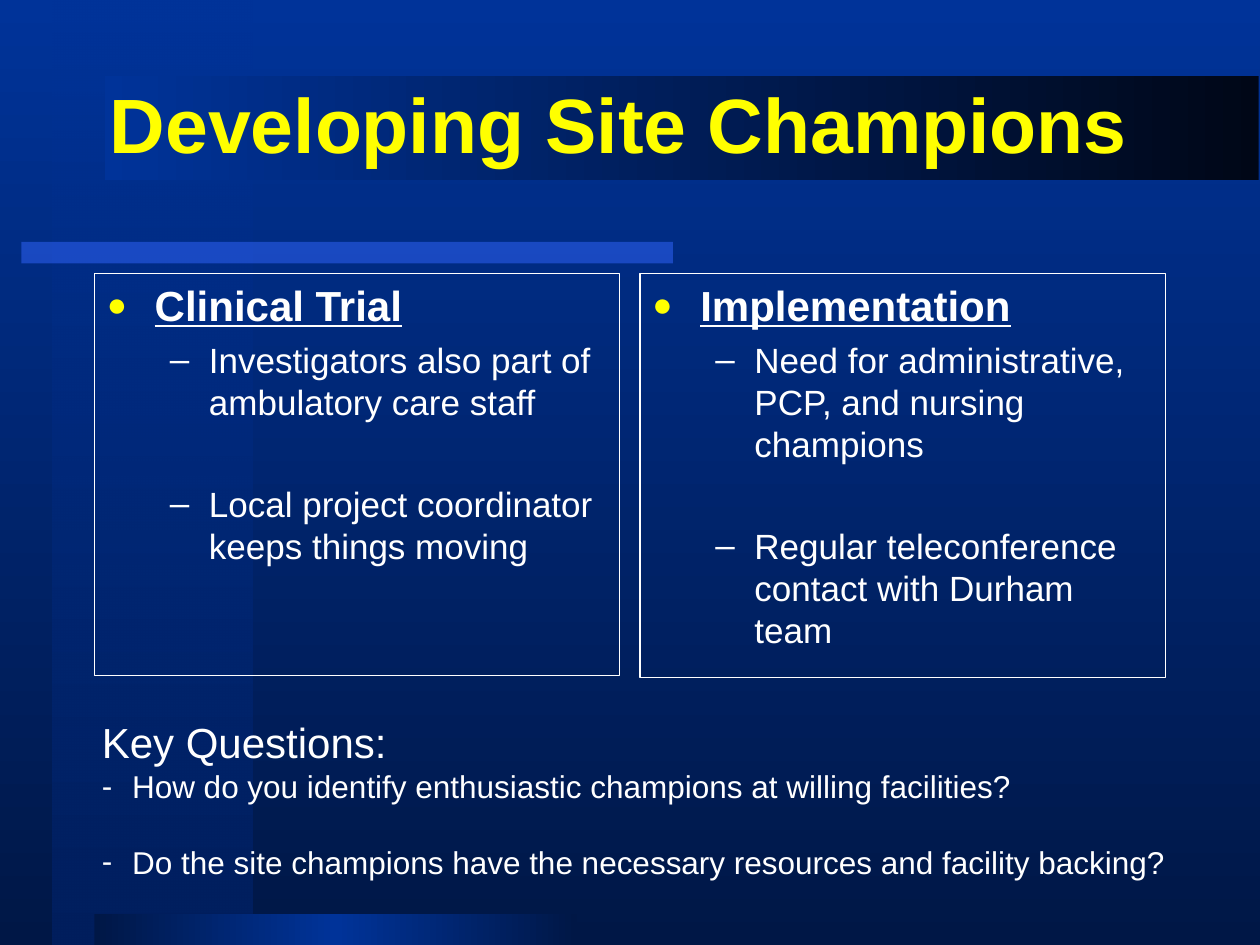
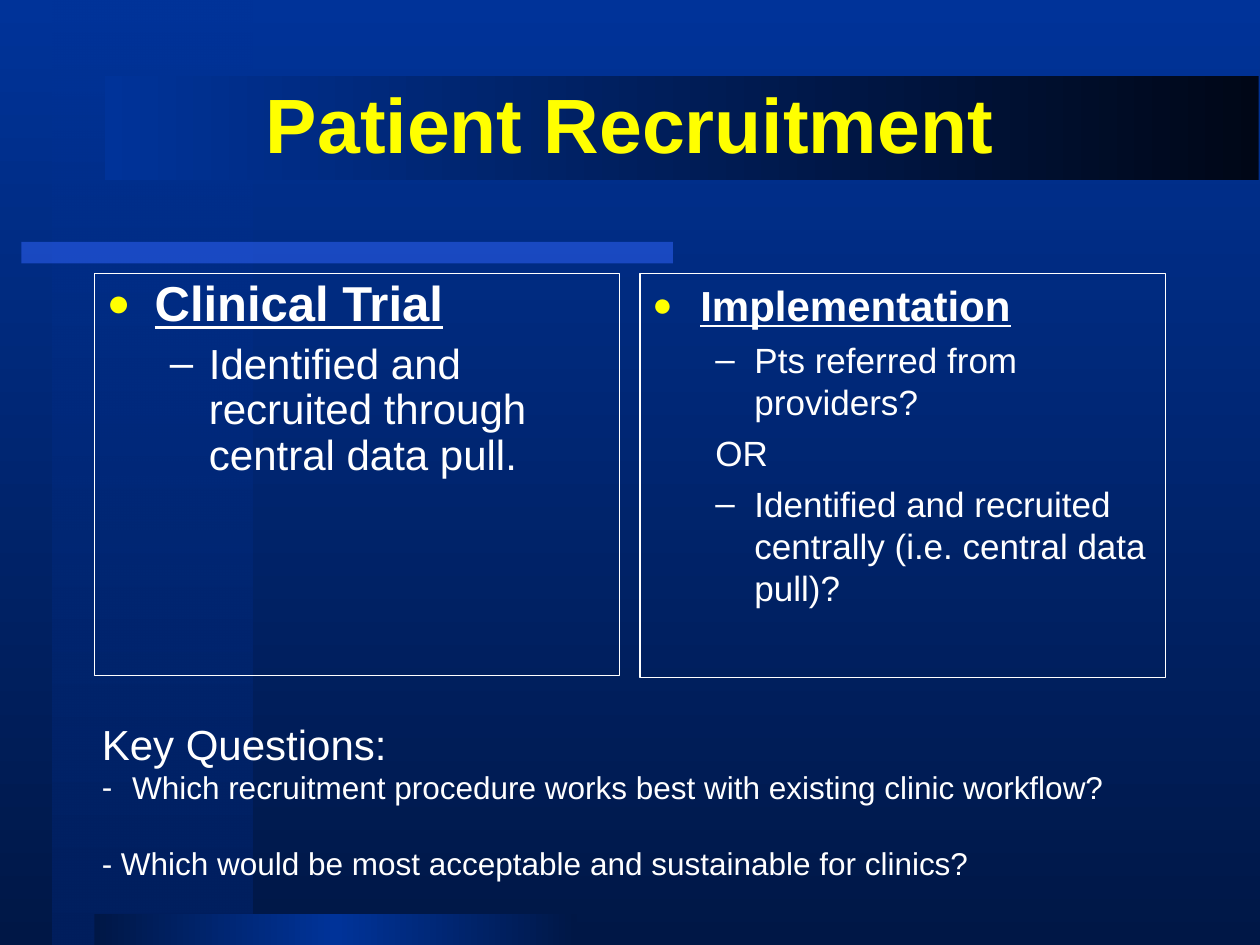
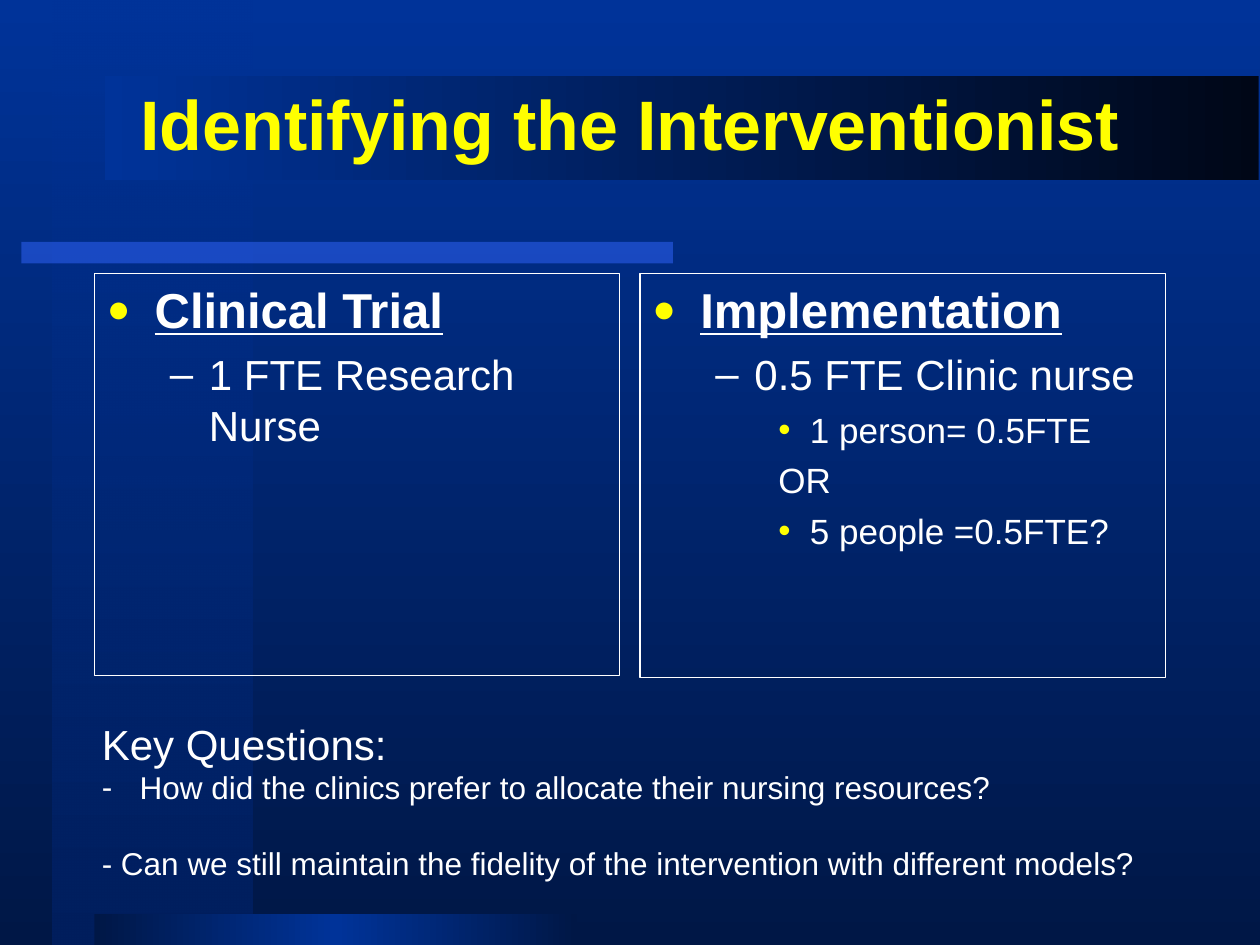
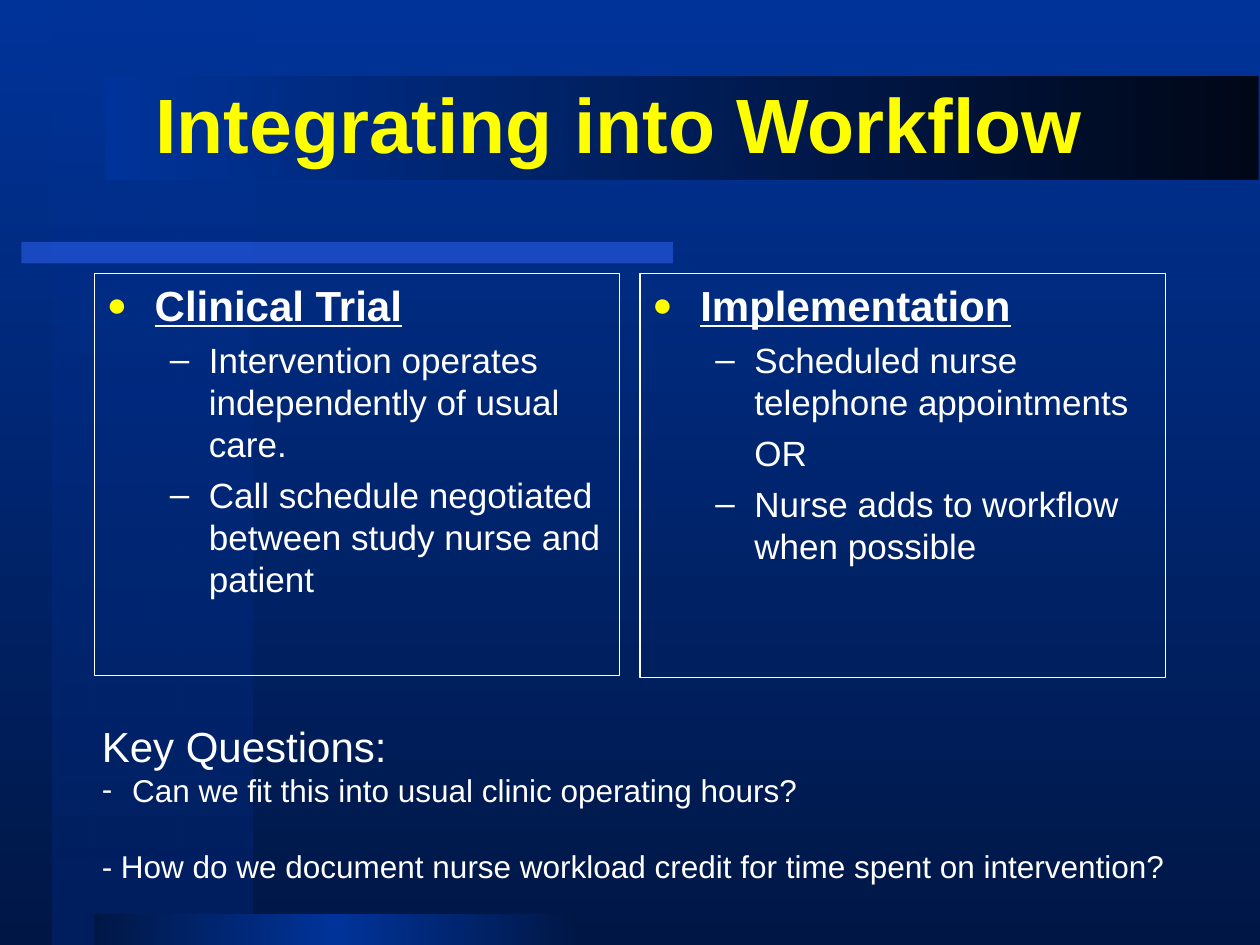
"""Build four slides that compare a clinical trial with its implementation."""
from lxml import etree
from pptx import Presentation
from pptx.dml.color import RGBColor
from pptx.enum.shapes import MSO_SHAPE
from pptx.enum.text import MSO_ANCHOR, MSO_AUTO_SIZE, PP_ALIGN
from pptx.oxml.ns import qn
from pptx.util import Inches, Pt

RECT = MSO_SHAPE.RECTANGLE
MIDDLE = MSO_ANCHOR.MIDDLE
FIXED = MSO_AUTO_SIZE.NONE
CENTER = PP_ALIGN.CENTER

FONT = "Arial"
WHITE, YELLOW = "FFFFFF", "FFFF00"
BLUE, NAVY, DEEP, BLACK, BRIGHT = "003399", "001746", "001F5E", "000717", "3366FF"

# kind: level, left margin, hanging indent, bullet, bullet colour, bullet scale
KINDS = {
    "head": (0, 0.38, 0.38, "●", YELLOW, 80),
    "dash": (1, 0.81, 0.31, "–", WHITE, 100),
    "or": (1, 0.5, 0, None, None, None),
    "or in": (1, 0.81, 0, None, None, None),
    "dot": (2, 1.25, 0.25, "•", YELLOW, 100),
    "or dot": (2, 1, 0, None, None, None),
    "ask": (0, 0.24, 0.24, "-", WHITE, 100),
    "ask wide": (0, 0.3, 0.3, "-", WHITE, 100),
    "plain": (0, 0, 0, None, None, None),
}
SMALL = {"head": 24, "dash": 20}
LARGE = {"head": 28, "dash": 24}

SLIDES = [
    dict(
        title="Developing Site Champions ", size=44, top=5.64,
        trial=dict(items=[
            ("dash", "Investigators also part of ambulatory care staff"),
            ("dash", "Local project coordinator keeps things moving")], gap=34),
        work=dict(items=[
            ("dash", "Need for administrative, PCP, and nursing champions"),
            ("dash", "Regular teleconference contact with Durham team")], gap=34),
        asks=[
            ("ask", "How do you identify enthusiastic champions at willing facilities?"),
            ("ask", "Do the site champions have the necessary resources and facility backing?")]),
    dict(
        title="Patient Recruitment", size=44, top=5.65,
        trial=dict(items=[
            ("dash", "Identified and recruited through central data pull.")],
            sizes=LARGE, pitch=0.9),
        work=dict(items=[
            ("dash", "Pts referred from providers?"),
            ("or", "OR"),
            ("dash", "Identified and recruited centrally (i.e. central data pull)?")]),
        asks=[
            ("ask", "Which recruitment procedure works best with existing clinic workflow?"),
            ("plain", "- Which would be most acceptable and sustainable for clinics?")]),
    dict(
        title="Identifying the Interventionist", size=40, top=5.65,
        trial=dict(items=[("dash", "1 FTE Research Nurse")], sizes=LARGE),
        work=dict(items=[
            ("dash", "0.5 FTE Clinic nurse"),
            ("dot", "1 person= 0.5FTE"),
            ("or dot", "OR"),
            ("dot", "5 people =0.5FTE?")], sizes=LARGE),
        asks=[
            ("ask wide", "How did the clinics prefer to allocate their nursing resources?"),
            ("plain", "- Can we still maintain the fidelity of the intervention with different models?")]),
    dict(
        title="Integrating into Workflow ", size=44, top=5.67,
        trial=dict(items=[
            ("dash", "Intervention operates independently of usual care."),
            ("dash", "Call schedule negotiated between study nurse and patient")]),
        work=dict(items=[
            ("dash", "Scheduled nurse telephone appointments"),
            ("or in", "OR"),
            ("dash", "Nurse adds to workflow when possible")]),
        asks=[
            ("ask", "Can we fit this into usual clinic operating hours?"),
            ("plain", "- How do we document nurse workload credit for time spent on intervention?")]),
]


def color(code):
    return RGBColor.from_string(code)


def add(node, tag, **attrs):
    child = etree.SubElement(node, qn(tag))
    for name, value in attrs.items():
        child.set(name, str(value))
    return child


def blend(fill, root, stops, angle):
    fill.gradient()
    grad = root.find(".//" + qn("a:gradFill"))
    ramp = grad.find(qn("a:gsLst"))
    for stop in list(ramp):
        ramp.remove(stop)
    for place, code, alpha in stops:
        stop = add(ramp, "a:gs", pos=place * 1000)
        tint = add(stop, "a:srgbClr", val=code)
        if alpha < 100:
            add(tint, "a:alpha", val=alpha * 1000)
    grad.find(qn("a:lin")).set("ang", str(angle * 60000))


class Deck:
    def __init__(self):
        self.prs = Presentation()
        self.prs.slide_width, self.prs.slide_height = Inches(10), Inches(7.5)
        self.layout = self.prs.slide_layouts[5]
        self.slide = None

    def open(self, text, size):
        self.slide = self.prs.slides.add_slide(self.layout)
        title = self.slide.shapes.title
        title.left, title.top = Inches(0.75), Inches(0.35)
        title.width, title.height = Inches(8.5), Inches(1.25)
        frame = title.text_frame
        frame.text = text
        frame.word_wrap = True
        frame.auto_size = FIXED
        frame.vertical_anchor = MIDDLE
        para = frame.paragraphs[0]
        para.alignment = CENTER
        self.style(para, size, YELLOW, True)

    def dress(self):
        blend(self.layout.background.fill, self.layout.element,
              [(0, BLUE, 100), (100, NAVY, 100)], 90)
        bands = [
            self.band(0.42, 0, 1.58, 7.5, [(0, BLUE, 50), (100, DEEP, 100)], 90),
            self.band(0.17, 1.92, 5.17, 0.17, [(0, BRIGHT, 50), (100, BRIGHT, 50)], 0),
            self.band(0.75, 7.25, 3.83, 0.25,
                      [(0, NAVY, 100), (50, BLUE, 100), (100, NAVY, 100)], 180),
            self.band(0.83, 0.6, 9.16, 0.83, [(0, BLACK, 100), (100, BLUE, 100)], 180),
        ]
        for spot, band in enumerate(bands, 2):
            self.layout.shapes.element.insert(spot, band.element)

    def band(self, left, top, width, height, stops, angle):
        shape = self.slide.shapes.add_shape(
            RECT, Inches(left), Inches(top), Inches(width), Inches(height))
        shape.shadow.inherit = False
        shape.line.fill.background()
        blend(shape.fill, shape.element, stops, angle)
        return shape

    def box(self, left, top, width, height):
        box = self.slide.shapes.add_textbox(
            Inches(left), Inches(top), Inches(width), Inches(height))
        box.text_frame.word_wrap = True
        return box

    def style(self, para, size, code=WHITE, bold=False, under=False):
        font = para.font
        font.name, font.size = FONT, Pt(size)
        font.color.rgb = color(code)
        font.bold, font.underline = bold, under

    def line(self, frame, kind, text, size, gap=0, pitch=None):
        first = not frame.text
        para = frame.paragraphs[0] if first else frame.add_paragraph()
        para.text = text
        level, left, hang, mark, code, scale = KINDS[kind]
        para.level = level
        props = para._p.get_or_add_pPr()
        props.set("marL", str(Inches(left)))
        props.set("indent", str(-Inches(hang)))
        if mark:
            add(add(props, "a:buClr"), "a:srgbClr", val=code)
            add(props, "a:buSzPct", val=scale * 1000)
            add(props, "a:buFont", typeface=FONT)
            add(props, "a:buChar", char=mark)
        else:
            add(props, "a:buNone")
        para.space_before = Pt(0 if first else gap)
        if pitch:
            para.line_spacing = pitch
        self.style(para, size, bold=kind == "head", under=kind == "head")

    def column(self, left, height, head, items, sizes=SMALL, gap=None, pitch=None):
        box = self.box(left, 2.17, 4.17, height)
        box.line.color.rgb = color(WHITE)
        box.line.width = Pt(0.75)
        frame = box.text_frame
        self.line(frame, "head", head, sizes["head"], pitch=pitch)
        for index, (kind, text) in enumerate(items):
            size = sizes.get(kind, 20)
            space = gap if gap and index else size / 4
            self.line(frame, kind, text, size, space, pitch)

    def asks(self, top, items):
        frame = self.box(0.71, top, 8.83, 1.4).text_frame
        self.line(frame, "plain", "Key Questions:", 24)
        for index, (kind, text) in enumerate(items):
            self.line(frame, kind, text, 18, 21.6 * index)


def main():
    deck = Deck()
    for page in SLIDES:
        deck.open(page["title"], page["size"])
        if page is SLIDES[0]:
            deck.dress()
        deck.column(0.75, 3.19, "Clinical Trial", **page["trial"])
        deck.column(5.08, 3.21, "Implementation", **page["work"])
        deck.asks(page["top"], page["asks"])
    deck.prs.save("out.pptx")


if __name__ == "__main__":
    main()
